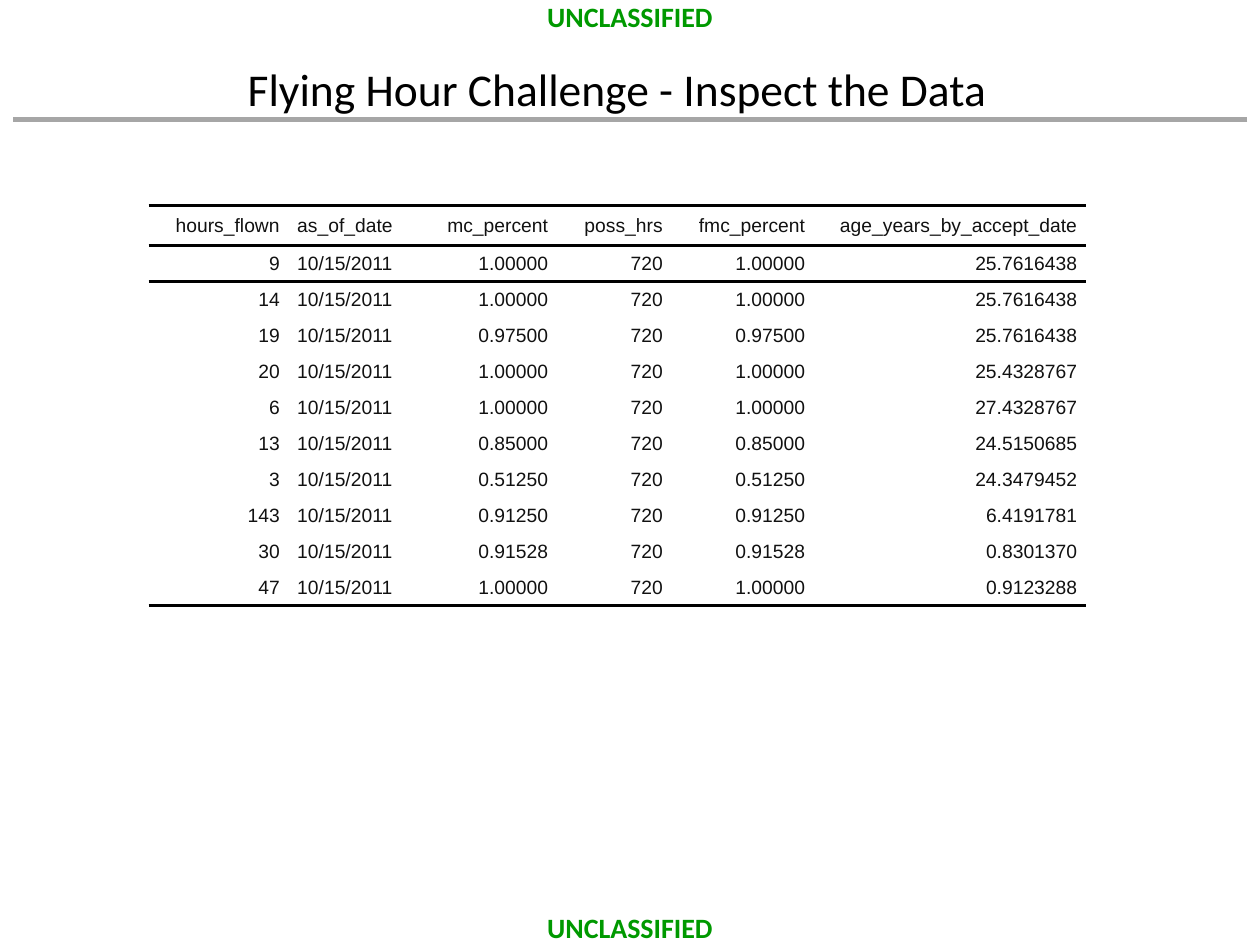
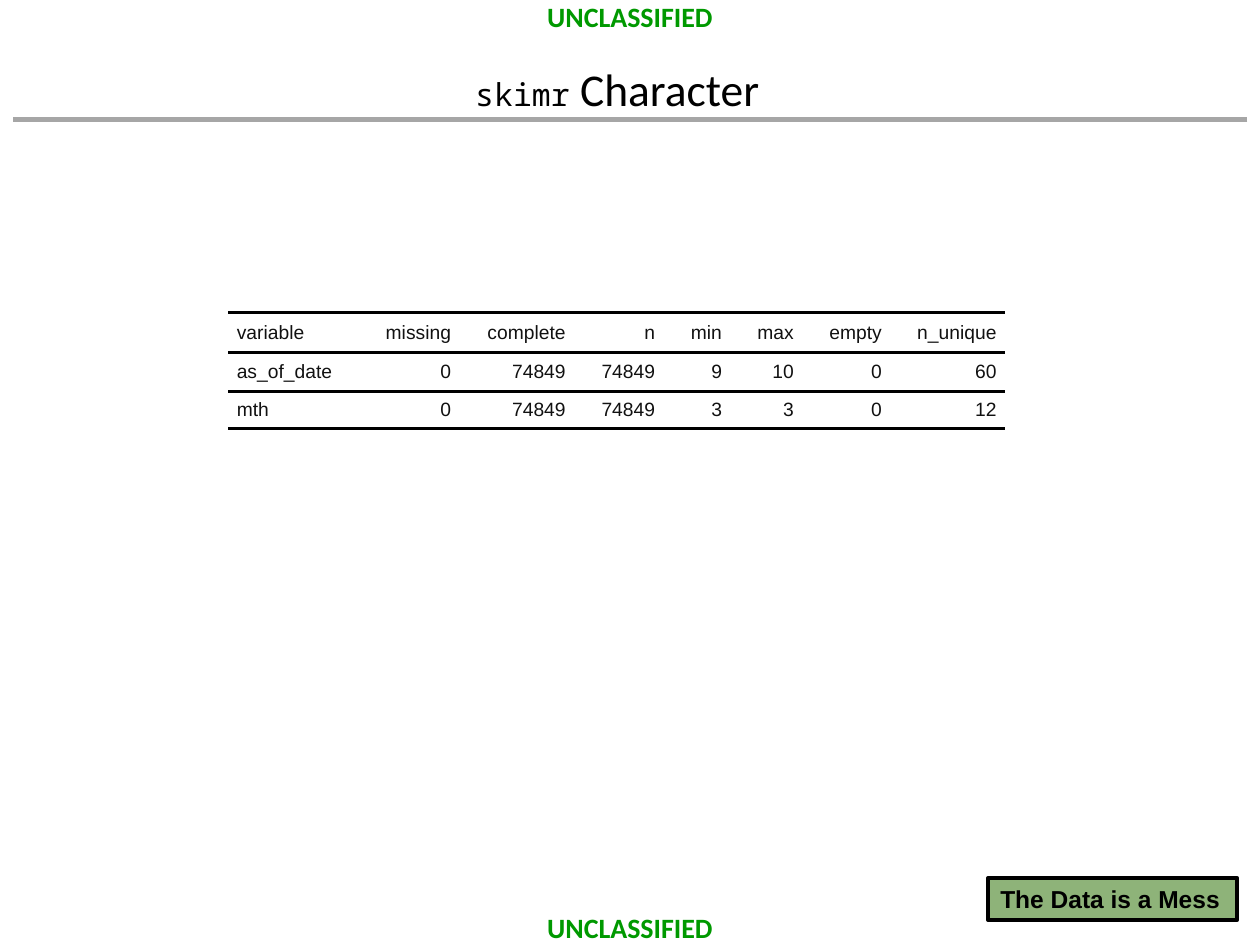
from dataclasses import dataclass

from lxml.etree import SubElement
from pptx import Presentation
from pptx.dml.color import RGBColor
from pptx.enum.shapes import MSO_CONNECTOR, MSO_SHAPE
from pptx.enum.text import MSO_ANCHOR, MSO_AUTO_SIZE, PP_ALIGN
from pptx.oxml.ns import qn
from pptx.util import Inches, Pt


@dataclass(frozen=True)
class TextStyle:
    """Font, size, colour and weight of a run."""
    font: str
    size: int
    color: str
    bold: bool = False


@dataclass(frozen=True)
class Theme:
    """Colours and type styles shared by all slides."""
    marking: TextStyle = TextStyle("Calibri", 16, "009900", True)
    title: TextStyle = TextStyle("Calibri", 26, "000000")
    code: TextStyle = TextStyle("Noto Sans Mono", 18, "000000")
    cell: TextStyle = TextStyle("Arial", 11, "111111")
    callout: TextStyle = TextStyle("Arial", 14, "000000", True)
    title_rule: str = "A6A6A6"
    table_rule: str = "000000"
    callout_fill: str = "8EB379"


THEME = Theme()
COLUMNS, ROWS = 100, 75
UNIT = Inches(0.1)
NO_TABLE_STYLE = "{2D5ABB26-0587-4C30-8999-92F81FD0307C}"

FLIGHT_HEADER = ["hours_flown", "as_of_date", "mc_percent", "poss_hrs",
                 "fmc_percent", "age_years_by_accept_date"]
FLIGHT_RECORDS = [
    ("9", "1.00000", "25.7616438"),
    ("14", "1.00000", "25.7616438"),
    ("19", "0.97500", "25.7616438"),
    ("20", "1.00000", "25.4328767"),
    ("6", "1.00000", "27.4328767"),
    ("13", "0.85000", "24.5150685"),
    ("3", "0.51250", "24.3479452"),
    ("143", "0.91250", "6.4191781"),
    ("30", "0.91528", "0.8301370"),
    ("47", "1.00000", "0.9123288"),
]
SKIM_ROWS = [
    ["variable", "missing", "complete", "n", "min", "max", "empty", "n_unique"],
    ["as_of_date", "0", "74849", "74849", "9", "10", "0", "60"],
    ["mth", "0", "74849", "74849", "3", "3", "0", "12"],
]


def grid(*cells):
    """Convert grid columns or rows to slide lengths."""
    return [round(cell * UNIT) for cell in cells]


def add_run(paragraph, text, style):
    """Append one styled run."""
    run = paragraph.add_run()
    run.text = text
    run.font.name = style.font
    run.font.size = Pt(style.size)
    run.font.bold = style.bold
    run.font.color.rgb = RGBColor.from_string(style.color)


def add_text_box(slide, box, runs, wrap=True, anchor=MSO_ANCHOR.TOP):
    """Add a centred text box without insets and return its frame."""
    frame = slide.shapes.add_textbox(*grid(*box)).text_frame
    frame.margin_left = frame.margin_right = 0
    frame.margin_top = frame.margin_bottom = 0
    frame.word_wrap = wrap
    frame.vertical_anchor = anchor
    paragraph = frame.paragraphs[0]
    paragraph.alignment = PP_ALIGN.CENTER
    for text, style in runs:
        add_run(paragraph, text, style)
    return frame


def add_marking(slide, top):
    """Add the classification marking at a given row."""
    width, height = 13.3, 2.7
    box = ((COLUMNS - width) / 2, top, width, height)
    frame = add_text_box(slide, box, [("UNCLASSIFIED", THEME.marking)], wrap=False)
    frame.auto_size = MSO_AUTO_SIZE.SHAPE_TO_FIT_TEXT


def add_title_rule(slide):
    """Add the grey rule below the title."""
    rule = slide.shapes.add_connector(
        MSO_CONNECTOR.STRAIGHT, *grid(COLUMNS - 1, 9.5, 1, 9.5))
    rule.line.color.rgb = RGBColor.from_string(THEME.title_rule)
    rule.line.width = Pt(3)
    SubElement(rule._element.spPr, qn("a:effectLst"))


def add_framed_slide(presentation, title_runs):
    """Add a blank slide with markings, rule and title."""
    slide = presentation.slides.add_slide(presentation.slide_layouts[6])
    for top in (ROWS - 2.7, 0):
        add_marking(slide, top)
    add_title_rule(slide)
    frame = add_text_box(slide, (8.5, 2.5, 81, 6.7), title_runs,
                         anchor=MSO_ANCHOR.BOTTOM)
    frame.paragraphs[0].line_spacing = 0.9
    return slide


def add_cell_border(cell, side):
    """Draw a rule on one side of a cell."""
    border = SubElement(cell._tc.get_or_add_tcPr(), qn(f"a:{side}"), w=str(Pt(2)))
    fill = SubElement(border, qn("a:solidFill"))
    SubElement(fill, qn("a:srgbClr"), val=THEME.table_rule)


def fill_cell(cell, text, alignment):
    """Write a table cell with its indents and spacing."""
    cell.margin_left = cell.margin_right = 0
    cell.margin_top = cell.margin_bottom = 0
    cell.vertical_anchor = MSO_ANCHOR.MIDDLE
    paragraph = cell.text_frame.paragraphs[0]
    paragraph.alignment = alignment
    paragraph.space_before = paragraph.space_after = Pt(2)
    properties = paragraph._p.get_or_add_pPr()
    for indent in ("marL", "marR"):
        properties.set(indent, str(Pt(5)))
    properties.set("indent", "0")
    add_run(paragraph, text, THEME.cell)


def add_ruled_table(slide, left, top, widths, heights, rows, left_column):
    """Add a table ruled above and below its header and at its end."""
    box = grid(left, top, sum(widths), sum(heights))
    table = slide.shapes.add_table(len(rows), len(widths), *box).table
    table.first_row = table.horz_banding = False
    table._tbl.tblPr.find(qn("a:tableStyleId")).text = NO_TABLE_STYLE
    for column, width in zip(table.columns, grid(*widths)):
        column.width = width
    for row, height in zip(table.rows, grid(*heights)):
        row.height = height
    for row_index, values in enumerate(rows):
        for column_index, value in enumerate(values):
            cell = table.cell(row_index, column_index)
            is_left = column_index == left_column
            fill_cell(cell, value, PP_ALIGN.LEFT if is_left else PP_ALIGN.RIGHT)
            if row_index <= 1:
                add_cell_border(cell, "lnT")
            if row_index in (0, len(rows) - 1):
                add_cell_border(cell, "lnB")
            cell.fill.background()


def add_callout(slide, box, text):
    """Add a framed green remark."""
    shape = slide.shapes.add_shape(MSO_SHAPE.RECTANGLE, *grid(*box))
    shape.shadow.inherit = False
    shape.fill.solid()
    shape.fill.fore_color.rgb = RGBColor.from_string(THEME.callout_fill)
    shape.line.color.rgb = RGBColor.from_string(THEME.table_rule)
    shape.line.width = Pt(2.25)
    frame = shape.text_frame
    frame.word_wrap = False
    frame.vertical_anchor = MSO_ANCHOR.MIDDLE
    frame.paragraphs[0].alignment = PP_ALIGN.LEFT
    add_run(frame.paragraphs[0], text, THEME.callout)


def add_flight_slide(presentation):
    """Build the slide that shows the first flight records."""
    slide = add_framed_slide(
        presentation, [("Flying Hour Challenge - Inspect the Data", THEME.title)])
    records = [[hours, "10/15/2011", percent, "720", percent, age]
               for hours, percent, age in FLIGHT_RECORDS]
    add_ruled_table(slide, 11.8, 16.3, [11.1, 10.5, 10.8, 9.1, 11.3, 21.6],
                    [3.2] + [2.86] * len(records), [FLIGHT_HEADER] + records,
                    left_column=1)


def add_skim_slide(presentation):
    """Build the slide that summarises the character variables."""
    slide = add_framed_slide(
        presentation, [("skimr", THEME.code), (" Character", THEME.title)])
    add_ruled_table(slide, 18.1, 24.8, [10.4, 8, 9.1, 7.1, 5.3, 5.7, 7, 9.1],
                    [3.2, 3.1, 2.9], SKIM_ROWS, left_column=0)
    add_callout(slide, (78.4, 69.7, 19.8, 3.3), "The Data is a Mess")


def main():
    """Build and save the presentation."""
    presentation = Presentation()
    presentation.slide_width, presentation.slide_height = grid(COLUMNS, ROWS)
    add_flight_slide(presentation)
    add_skim_slide(presentation)
    presentation.save("out.pptx")


if __name__ == "__main__":
    main()
